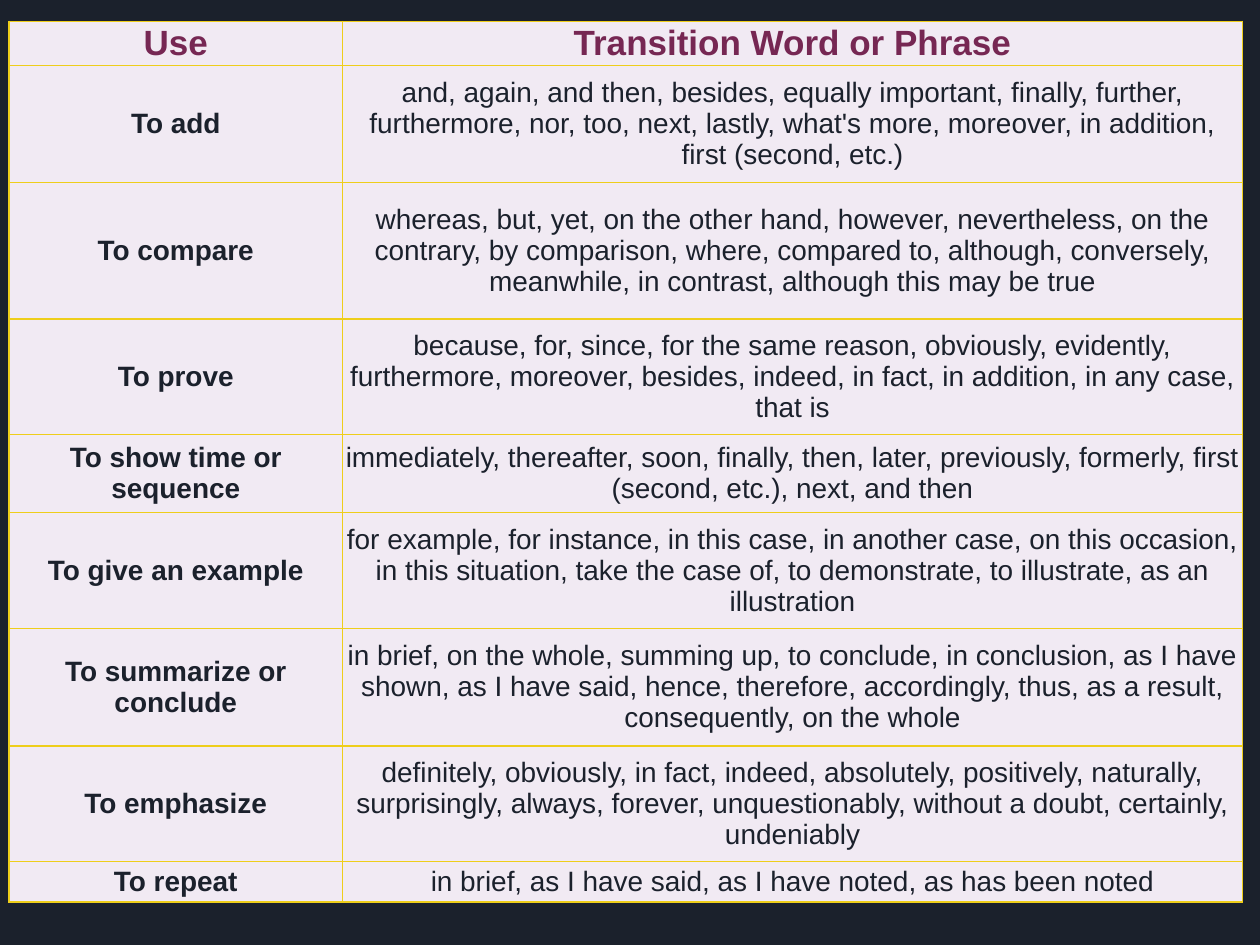
from pptx import Presentation
from pptx.dml.color import RGBColor
from pptx.enum.text import MSO_ANCHOR, PP_ALIGN
from pptx.oxml.ns import qn
from pptx.util import Inches, Pt
from lxml.etree import SubElement

NAVY = RGBColor(0x1B, 0x21, 0x2C)
LILAC = RGBColor(0xF1, 0xEA, 0xF3)
PLUM = RGBColor(0x76, 0x27, 0x53)
GOLD = RGBColor(0xEE, 0xCE, 0x1A)

COLUMN_WIDTHS = (2.65, 7.14)
HEADINGS = ("Use", "Transition Word or Phrase")
HEADING_HEIGHT = 0.35
TRANSITIONS = (
    ("To add", "and, again, and then, besides, equally important, finally, further, "
     "furthermore, nor, too, next, lastly, what's more, moreover, in addition, "
     "first (second, etc.)", 0.93),
    ("To compare", "whereas, but, yet, on the other hand, however, nevertheless, on the "
     "contrary, by comparison, where, compared to, although, conversely, "
     "meanwhile, in contrast, although this may be true", 1.08),
    ("To prove", "because, for, since, for the same reason, obviously, evidently, "
     "furthermore, moreover, besides, indeed, in fact, in addition, in any case, "
     "that is", 0.92),
    ("To show time or sequence", "immediately, thereafter, soon, finally, then, later, "
     "previously, formerly, first (second, etc.), next, and then", 0.62),
    ("To give an example", "for example, for instance, in this case, in another case, "
     "on this occasion, in this situation, take the case of, to demonstrate, "
     "to illustrate, as an illustration", 0.92),
    ("To summarize or conclude", "in brief, on the whole, summing up, to conclude, "
     "in conclusion, as I have shown, as I have said, hence, therefore, accordingly, "
     "thus, as a result, consequently, on the whole", 0.93),
    ("To emphasize", "definitely, obviously, in fact, indeed, absolutely, positively, "
     "naturally, surprisingly, always, forever, unquestionably, without a doubt, "
     "certainly, undeniably", 0.92),
    ("To repeat", "in brief, as I have said, as I have noted, as has been noted", 0.32),
)


class TableSlide:
    """Holds the slide and the shared style of its table."""

    font = "Arial"
    inset = Inches(0.01)
    border_width = Pt(1)

    def __init__(self, slide):
        self.slide = slide

    def background(self, color):
        fill = self.slide.background.fill
        fill.solid()
        fill.fore_color.rgb = color

    def table(self, left, top, widths, heights):
        frame = self.slide.shapes.add_table(
            len(heights), len(widths), Inches(left), Inches(top),
            Inches(sum(widths)), Inches(sum(heights)))
        for column, width in zip(frame.table.columns, widths):
            column.width = Inches(width)
        for row, height in zip(frame.table.rows, heights):
            row.height = Inches(height)
        return frame.table

    def borders(self, cell):
        properties = cell._tc.get_or_add_tcPr()
        for side in ("a:lnL", "a:lnR", "a:lnT", "a:lnB"):
            line = SubElement(properties, qn(side), w=str(self.border_width))
            fill = SubElement(line, qn("a:solidFill"))
            SubElement(fill, qn("a:srgbClr"), val=str(GOLD))

    def cell(self, cell, text, size, color, bold):
        self.borders(cell)
        cell.fill.solid()
        cell.fill.fore_color.rgb = LILAC
        cell.vertical_anchor = MSO_ANCHOR.MIDDLE
        cell.margin_left = cell.margin_right = self.inset
        cell.margin_top = cell.margin_bottom = self.inset
        cell.text_frame.text = text
        paragraph = cell.text_frame.paragraphs[0]
        paragraph.alignment = PP_ALIGN.CENTER
        font = paragraph.runs[0].font
        font.name = self.font
        font.size = Pt(size)
        font.bold = bold
        font.color.rgb = color


def main():
    presentation = Presentation()
    presentation.slide_width = Inches(10)
    presentation.slide_height = Inches(7.5)
    page = TableSlide(presentation.slides.add_slide(presentation.slide_layouts[6]))
    page.background(NAVY)

    heights = [HEADING_HEIGHT] + [height for _, _, height in TRANSITIONS]
    transitions = page.table(0.07, 0.17, COLUMN_WIDTHS, heights)
    for column, heading in enumerate(HEADINGS):
        page.cell(transitions.cell(0, column), heading, 20, PLUM, True)
    for row, (use, phrases, _) in enumerate(TRANSITIONS, start=1):
        page.cell(transitions.cell(row, 0), use, 16, NAVY, True)
        page.cell(transitions.cell(row, 1), phrases, 16, NAVY, False)

    presentation.save("out.pptx")


if __name__ == "__main__":
    main()
